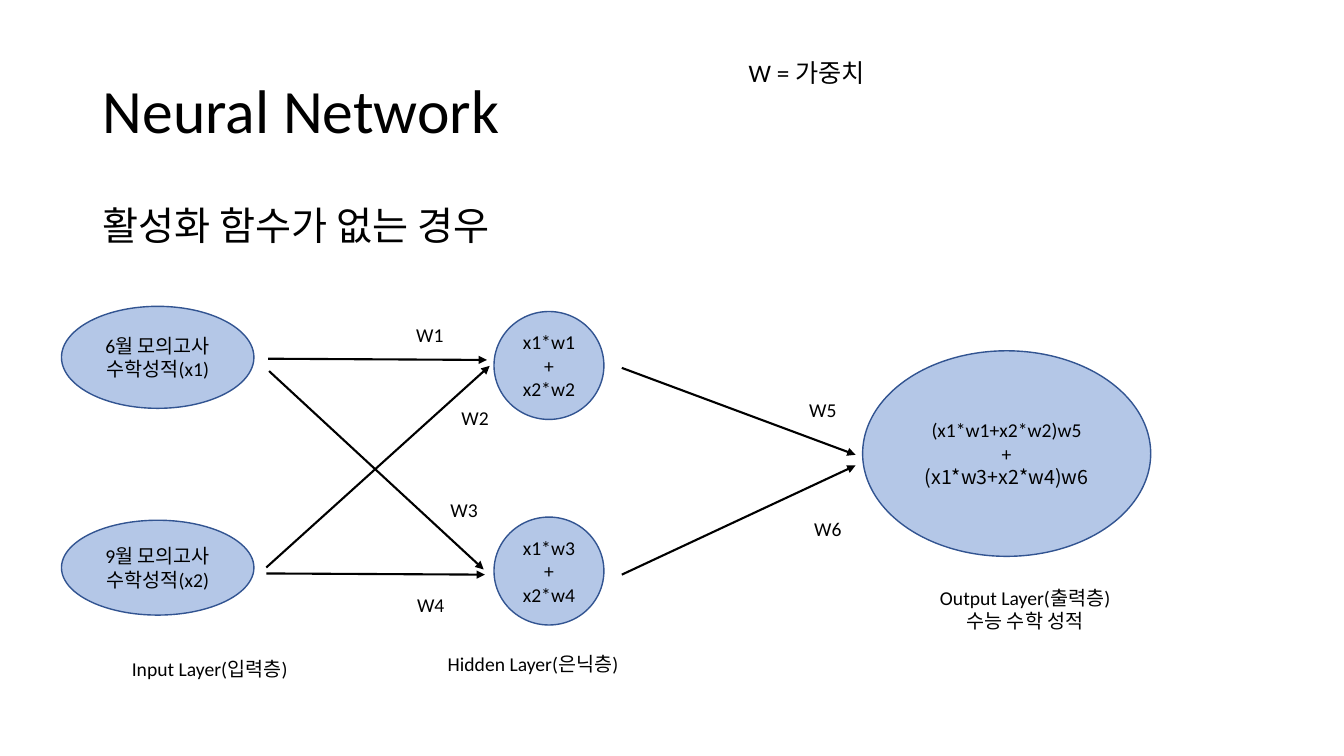
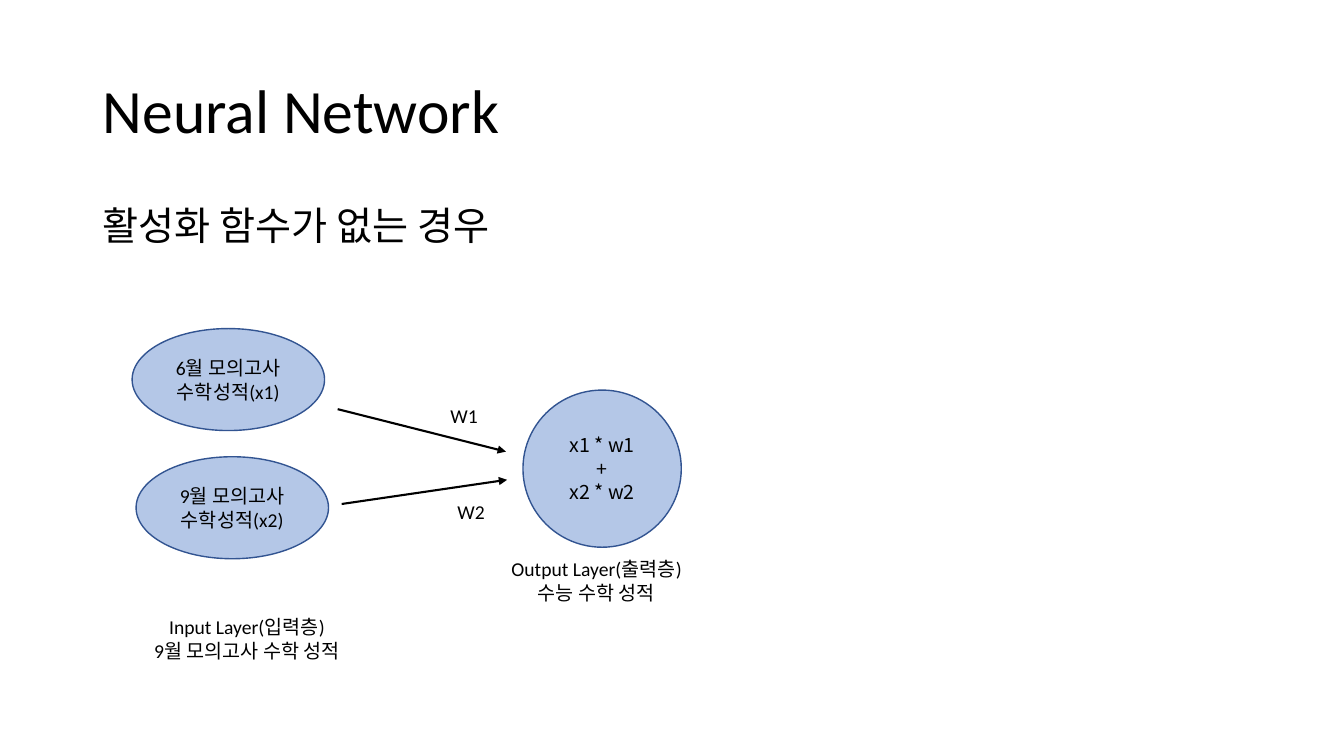
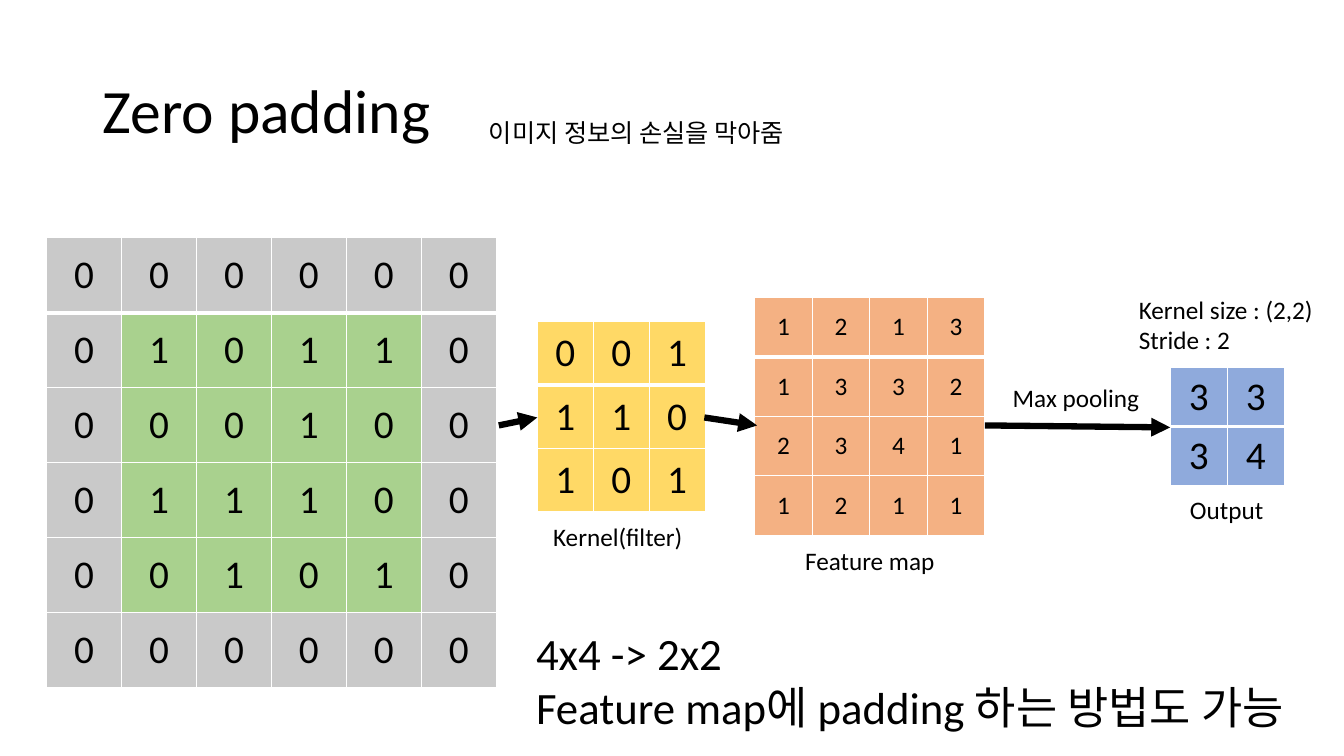
from dataclasses import dataclass
from typing import Callable, Sequence

from lxml.etree import SubElement
from pptx import Presentation
from pptx.dml.color import RGBColor
from pptx.enum.shapes import MSO_CONNECTOR as Connector, MSO_SHAPE as Preset
from pptx.enum.text import MSO_ANCHOR as Anchor, PP_ALIGN as Align
from pptx.oxml.ns import qn
from pptx.util import Cm, Pt

LATIN = "Calibri"
KOREAN = "Noto Sans CJK KR"
BLACK, WHITE = "000000", "FFFFFF"
NODE_FILL, NODE_LINE = "B4C7E7", "325491"
GREY, GREEN, YELLOW, ORANGE, BLUE = "C9C9C9", "A9D18E", "FFD966", "F4B183", "8FAADC"

JUNE_SCORE = "6월 모의고사\n수학성적(x1)"
SEPTEMBER_SCORE = "9월 모의고사\n수학성적(x2)"
INPUT_LAYER = "Input Layer(입력층)"
OUTPUT_LAYER = "Output Layer(출력층)\n수능 수학 성적"
NO_ACTIVATION = "활성화 함수가 없는 경우"


@dataclass(frozen=True)
class Caption:
    text: str
    left: float
    top: float
    width: float = 1.7
    height: float = 0.86
    size: float = 14
    align: Align = Align.LEFT
    anchor: Anchor = Anchor.TOP
    spacing: float = 1.0
    wrap: bool = True


@dataclass(frozen=True)
class Node:
    text: str
    left: float
    top: float
    width: float = 4.85
    height: float = 2.57
    font: str = LATIN


@dataclass(frozen=True)
class Arrow:
    start: tuple[float, float]
    end: tuple[float, float]
    width: float = 1.5


@dataclass(frozen=True)
class Matrix:
    rows: Sequence[str]
    left: float
    top: float
    cell_width: float
    cell_height: float
    size: float
    fill: Callable[[int, int], str]


def colour(value: str) -> RGBColor:
    return RGBColor.from_string(value)


def style_paragraph(paragraph, size: float, align: Align, font_name: str = LATIN) -> None:
    paragraph.alignment = align
    font = paragraph.font
    font.size = Pt(size)
    font.color.rgb = colour(BLACK)
    font.name = font_name
    default_run = paragraph._p.pPr.find(qn("a:defRPr"))
    SubElement(default_run, qn("a:ea"), typeface=KOREAN)


def write_lines(frame, text: str, size: float, align: Align, font_name: str = LATIN) -> None:
    frame.text = text
    for paragraph in frame.paragraphs:
        style_paragraph(paragraph, size, align, font_name)


def add_caption(slide, caption: Caption) -> None:
    box = slide.shapes.add_textbox(
        Cm(caption.left), Cm(caption.top), Cm(caption.width), Cm(caption.height))
    frame = box.text_frame
    frame.word_wrap = caption.wrap
    frame.vertical_anchor = caption.anchor
    write_lines(frame, caption.text, caption.size, caption.align)
    for paragraph in frame.paragraphs:
        paragraph.line_spacing = caption.spacing


def layer_caption(text: str, left: float, top: float) -> Caption:
    height = 0.86 + 0.58 * text.count("\n")
    return Caption(text, left, top, 6.35, height, align=Align.CENTER)


def note(text: str, left: float, top: float, width: float, height: float = 1.02) -> Caption:
    return Caption(text, left, top, width, height, size=18, wrap=False)


def add_node(slide, node: Node):
    shape = slide.shapes.add_shape(
        Preset.OVAL, Cm(node.left), Cm(node.top), Cm(node.width), Cm(node.height))
    shape.shadow.inherit = False
    shape.fill.solid()
    shape.fill.fore_color.rgb = colour(NODE_FILL)
    shape.line.color.rgb = colour(NODE_LINE)
    shape.line.width = Pt(1)
    shape.text_frame.word_wrap = True
    shape.text_frame.vertical_anchor = Anchor.MIDDLE
    write_lines(shape.text_frame, node.text, 14, Align.CENTER, node.font)
    return shape


def add_arrow(slide, arrow: Arrow) -> None:
    points = [Cm(value) for value in (*arrow.start, *arrow.end)]
    connector = slide.shapes.add_connector(Connector.STRAIGHT, *points)
    connector.line.color.rgb = colour(BLACK)
    connector.line.width = Pt(arrow.width)
    properties = connector._element.spPr
    SubElement(properties.find(qn("a:ln")), qn("a:tailEnd"), type="triangle")
    SubElement(properties, qn("a:effectLst"))


def set_borders(cell, row: int) -> None:
    """Draw white borders, heavier below the first row."""
    top = 3 if row == 1 else 1
    bottom = 3 if row == 0 else 1
    properties = cell._tc.get_or_add_tcPr()
    for side, width in {"L": 1, "R": 1, "T": top, "B": bottom}.items():
        line = SubElement(properties, qn(f"a:ln{side}"), w=str(Pt(width)))
        fill = SubElement(line, qn("a:solidFill"))
        SubElement(fill, qn("a:srgbClr"), val=WHITE)


def add_matrix(slide, matrix: Matrix) -> None:
    row_count, column_count = len(matrix.rows), len(matrix.rows[0])
    table = slide.shapes.add_table(
        row_count, column_count, Cm(matrix.left), Cm(matrix.top),
        Cm(matrix.cell_width * column_count), Cm(matrix.cell_height * row_count)).table
    table.first_row = table.horz_banding = False
    for column in table.columns:
        column.width = Cm(matrix.cell_width)
    for row in table.rows:
        row.height = Cm(matrix.cell_height)
    for row_index, digits in enumerate(matrix.rows):
        for column_index, digit in enumerate(digits):
            cell = table.cell(row_index, column_index)
            set_borders(cell, row_index)
            cell.fill.solid()
            cell.fill.fore_color.rgb = colour(matrix.fill(row_index, column_index))
            cell.vertical_anchor = Anchor.MIDDLE
            write_lines(cell.text_frame, digit, matrix.size, Align.CENTER)


def padded_fill(row: int, column: int) -> str:
    return GREEN if 1 <= row <= 4 and 1 <= column <= 4 else GREY


def plain_fill(value: str) -> Callable[[int, int], str]:
    return lambda row, column: value


def add_slide(presentation, title: str, subtitle: str = ""):
    slide = presentation.slides.add_slide(presentation.slide_layouts[6])
    add_caption(slide, Caption(title, 2.34, 1.02, 29.21, 3.68, 44,
                               anchor=Anchor.MIDDLE, spacing=0.9))
    if subtitle:
        add_caption(slide, Caption(subtitle, 2.34, 5.08, 29.21, 12.09, 28, spacing=0.9))
    return slide


def draw(slide, arrows: Sequence[Arrow], captions: Sequence[Caption]) -> None:
    for arrow in arrows:
        add_arrow(slide, arrow)
    for caption in captions:
        add_caption(slide, caption)


def build_hidden_layer_slide(presentation) -> None:
    slide = add_slide(presentation, "Neural Network", NO_ACTIVATION)
    for node in (
        Node(JUNE_SCORE, 1.55, 7.72),
        Node(SEPTEMBER_SCORE, 1.55, 13.11, height=2.39),
        Node("x1*w1\n+\nx2*w2", 12.45, 7.85, 2.77, 2.72),
        Node("x1*w3\n+\nx2*w4", 12.45, 13.03, 2.77, 2.72),
    ):
        add_node(slide, node)
    output = add_node(slide, Node(
        "(x1*w1+x2*w2)w5\n+\n(x1*w3+x2*w4)w6", 21.74, 8.84, 7.26, 5.18))
    output.text_frame.paragraphs[-1].font.name = KOREAN
    draw(
        slide,
        [
            Arrow((6.78, 9.35), (12.19, 14.35)),
            Arrow((6.71, 14.3), (12.34, 9.22)),
            Arrow((6.71, 14.45), (12.22, 14.48)),
            Arrow((6.76, 9.04), (12.27, 9.07)),
            Arrow((15.67, 14.48), (21.56, 11.73)),
            Arrow((15.67, 9.27), (21.56, 11.46)),
        ],
        [
            Caption("W1", 10.24, 8),
            Caption("W2", 11.38, 10.11),
            Caption("W3", 11.1, 12.42),
            Caption("W4", 10.26, 14.81),
            Caption("W5", 20.14, 9.91),
            Caption("W6", 20.27, 12.9),
            layer_caption(INPUT_LAYER, 2.11, 16.43),
            layer_caption("Hidden Layer(은닉층)", 10.26, 16.31),
            layer_caption(OUTPUT_LAYER, 22.66, 14.63),
            Caption("W = 가중치", 18.62, 1.32, 5.61, 1.02, 18),
        ],
    )


def build_single_layer_slide(presentation) -> None:
    slide = add_slide(presentation, "Neural Network", NO_ACTIVATION)
    for node in (
        Node(JUNE_SCORE, 3.33, 8.28),
        Node(SEPTEMBER_SCORE, 3.43, 11.51),
        Node("x1 * w1\n+\nx2 * w2", 13.18, 9.83, 3.99, 3.96, KOREAN),
    ):
        add_node(slide, node)
    draw(
        slide,
        [Arrow((8.51, 10.31), (12.75, 11.38)), Arrow((8.61, 12.7), (12.78, 12.09))],
        [
            Caption("W1", 11.1, 10.06),
            Caption("W2", 11.28, 12.47),
            layer_caption(f"{INPUT_LAYER}\n9월 모의고사 수학 성적", 3.05, 15.37),
            layer_caption(OUTPUT_LAYER, 11.86, 13.92),
        ],
    )


def build_padding_slide(presentation) -> None:
    slide = add_slide(presentation, "Zero padding")
    padded_rows = ("000000", "010110", "000100", "011100", "001010", "000000")
    for matrix in (
        Matrix(padded_rows, 1.17, 5.99, 1.89, 1.89, 28, padded_fill),
        Matrix(("001", "110", "101"), 13.54, 8.1, 1.41, 1.6, 28, plain_fill(YELLOW)),
        Matrix(("1213", "1332", "2341", "1211"), 19.02, 7.49, 1.45, 1.5, 18,
               plain_fill(ORANGE)),
        Matrix(("33", "34"), 29.49, 9.27, 1.44, 1.48, 28, plain_fill(BLUE)),
    ):
        add_matrix(slide, matrix)
    draw(
        slide,
        [
            Arrow((12.57, 10.72), (13.54, 10.52), 4.5),
            Arrow((17.75, 10.52), (19.08, 10.72), 4.5),
            Arrow((24.82, 10.72), (29.49, 10.77), 4.5),
        ],
        [
            note("이미지 정보의 손실을 막아줌", 12.07, 2.84, 8.64),
            note("Kernel(filter)", 13.69, 13, 3.81),
            note("Feature map", 20.04, 13.61, 3.81),
            note("Max pooling", 25.27, 9.5, 3.73),
            note("Output", 29.74, 12.32, 2.39),
            note("Kernel size : (2,2)\nStride : 2", 28.45, 7.29, 4.95, 1.8),
            Caption("4x4 -> 2x2\nFeature map에 padding 하는 방법도 가능",
                    13.26, 15.65, 20.62, 3, 32),
        ],
    )


def main() -> None:
    presentation = Presentation()
    presentation.slide_width, presentation.slide_height = Cm(33.87), Cm(19.05)
    build_hidden_layer_slide(presentation)
    build_single_layer_slide(presentation)
    build_padding_slide(presentation)
    presentation.save("out.pptx")


if __name__ == "__main__":
    main()
